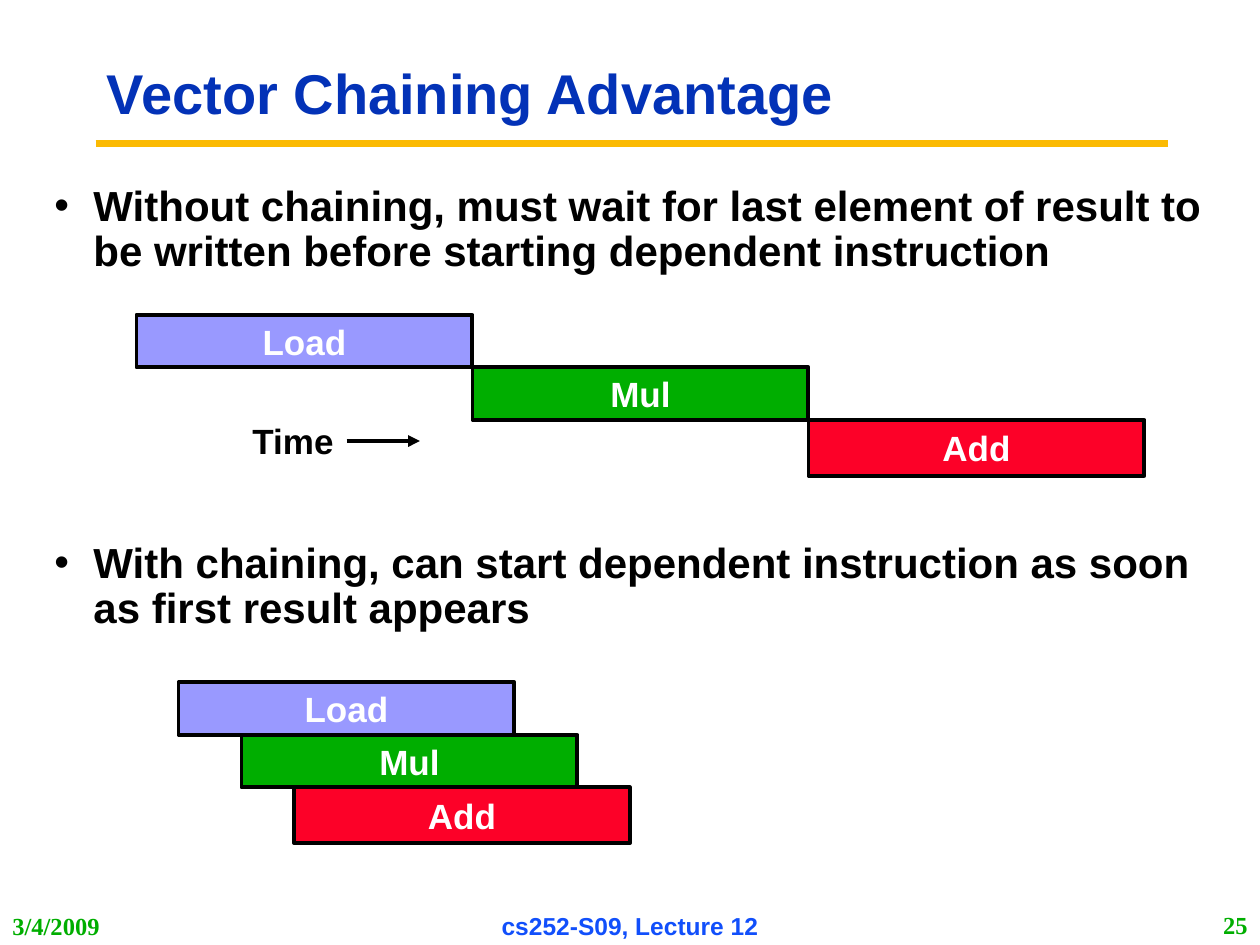
import dataclasses
import lxml.etree
import pptx
import pptx.dml.color
import pptx.enum.shapes
import pptx.enum.text
import pptx.oxml.ns
import pptx.util

ALIGN = pptx.enum.text.PP_ALIGN


@dataclasses.dataclass(frozen=True)
class Theme:
    sans: str = "Arial"
    serif: str = "Times New Roman"
    head: float = 32
    body: float = 24
    label: float = 20
    foot: float = 14
    rule: float = 3.75
    edge: float = 2.25
    navy: str = "0332B7"
    blue: str = "114FFB"
    gold: str = "FBBA03"
    black: str = "000000"
    white: str = "FFFFFF"
    lilac: str = "9999FF"
    green: str = "00AE00"
    red: str = "FC0128"


def assign(target, values):
    for name, value in values.items():
        setattr(target, name, value)


def color(code):
    return pptx.dml.color.RGBColor.from_string(code)


def child(parent, tag, **attrs):
    return lxml.etree.SubElement(parent, pptx.oxml.ns.qn(tag), attrs)


class Deck:
    cols, rows = 24, 18

    def __init__(self, theme):
        self.theme = theme
        self.file = pptx.Presentation()
        assign(self.file, {"slide_width": pptx.util.Inches(10),
                           "slide_height": pptx.util.Inches(7.5)})
        self.slide = self.file.slides.add_slide(self.file.slide_layouts[6])

    def grid(self, *cells):
        units = (self.file.slide_width / self.cols,
                 self.file.slide_height / self.rows)
        return [round(cell * units[i % 2]) for i, cell in enumerate(cells)]

    def letter(self, shape, words, size, ink, font=None, wrap=True, **layout):
        frame = shape.text_frame
        assign(frame, {"word_wrap": wrap,
                       "vertical_anchor": pptx.enum.text.MSO_ANCHOR.MIDDLE})
        para = frame.paragraphs[0]
        assign(para, layout)
        run = para.add_run()
        run.text = words
        assign(run.font, {"name": font or self.theme.sans, "bold": True,
                          "size": pptx.util.Pt(size)})
        run.font.color.rgb = color(ink)
        return para

    def text(self, place, *args, **layout):
        box = self.slide.shapes.add_textbox(*self.grid(*place))
        self.letter(box, *args, **layout)
        return box

    def bullet(self, row, words):
        box = self.slide.shapes.add_textbox(*self.grid(0.8, row, 22.4, 1.97))
        para = self.letter(box, words, self.theme.body, self.theme.black,
                           line_spacing=0.9, space_before=pptx.util.Pt(9))
        props = para._p.get_or_add_pPr()
        indent = pptx.util.Inches(0.31)
        props.set("marL", str(indent))
        props.set("indent", str(-indent))
        child(child(props, "a:buClr"), "a:srgbClr", val=self.theme.black)
        child(props, "a:buFont", typeface=self.theme.sans)
        child(props, "a:buChar", char="•")

    def bar(self, place, words, fill):
        kind = pptx.enum.shapes.MSO_SHAPE.RECTANGLE
        box = self.slide.shapes.add_shape(kind, *self.grid(*place))
        box.shadow.inherit = False
        box.fill.solid()
        box.fill.fore_color.rgb = color(fill)
        box.line.color.rgb = color(self.theme.black)
        box.line.width = pptx.util.Pt(self.theme.edge)
        self.letter(box, words, self.theme.label, self.theme.white,
                    alignment=ALIGN.CENTER, space_before=pptx.util.Pt(12.5))

    def steps(self, row, starts):
        t = self.theme
        tasks = [("Load", t.lilac, 1), ("Mul", t.green, 1), ("Add", t.red, 1.06)]
        for i, (col, (name, fill, tall)) in enumerate(zip(starts, tasks)):
            self.bar((col, row + i, 6.4, tall), name, fill)

    def line(self, ends, ink, width, source=None, arrow=False):
        kind = pptx.enum.shapes.MSO_CONNECTOR.STRAIGHT
        link = self.slide.shapes.add_connector(kind, *self.grid(*ends))
        if source is not None:
            link.begin_connect(source, 3)
        link.line.color.rgb = color(ink)
        link.line.width = pptx.util.Pt(width)
        if arrow:
            child(link.line._get_or_add_ln(), "a:tailEnd", type="triangle")
        child(link._element.spPr, "a:effectLst")


def main():
    t = Theme()
    deck = Deck(t)
    deck.line((1.82, 2.73, 22.25, 2.73), t.gold, t.rule)
    deck.text((1.8, 0.86, 19.15, 1.94), "Vector Chaining Advantage",
              t.head, t.navy, line_spacing=0.9)

    deck.bullet(3.4, "Without chaining, must wait for last element of result "
                     "to be written before starting dependent instruction")
    deck.steps(6, (2.6, 9, 15.4))
    time = deck.text((4.56, 7.87, 2.04, 1.06), "Time", t.label, t.black,
                     wrap=False, alignment=ALIGN.CENTER,
                     space_before=pptx.util.Pt(12.5))
    deck.line((6.6, 8.4, 8, 8.4), t.black, t.edge, source=time, arrow=True)

    deck.bullet(10.2, "With chaining, can start dependent instruction "
                      "as soon as first result appears")
    deck.steps(13, (3.4, 4.6, 5.6))

    deck.text((0, 17.26, 5, 0.74), "3/4/2009", t.foot, t.green, t.serif)
    deck.text((8.2, 17.26, 7.6, 0.74), "cs252-S09, Lecture 12",
              t.foot, t.blue, alignment=ALIGN.CENTER)
    deck.text((19, 17.23, 5, 0.77), "25", t.foot, t.green, t.serif,
              alignment=ALIGN.RIGHT)
    deck.file.save("out.pptx")


if __name__ == "__main__":
    main()
